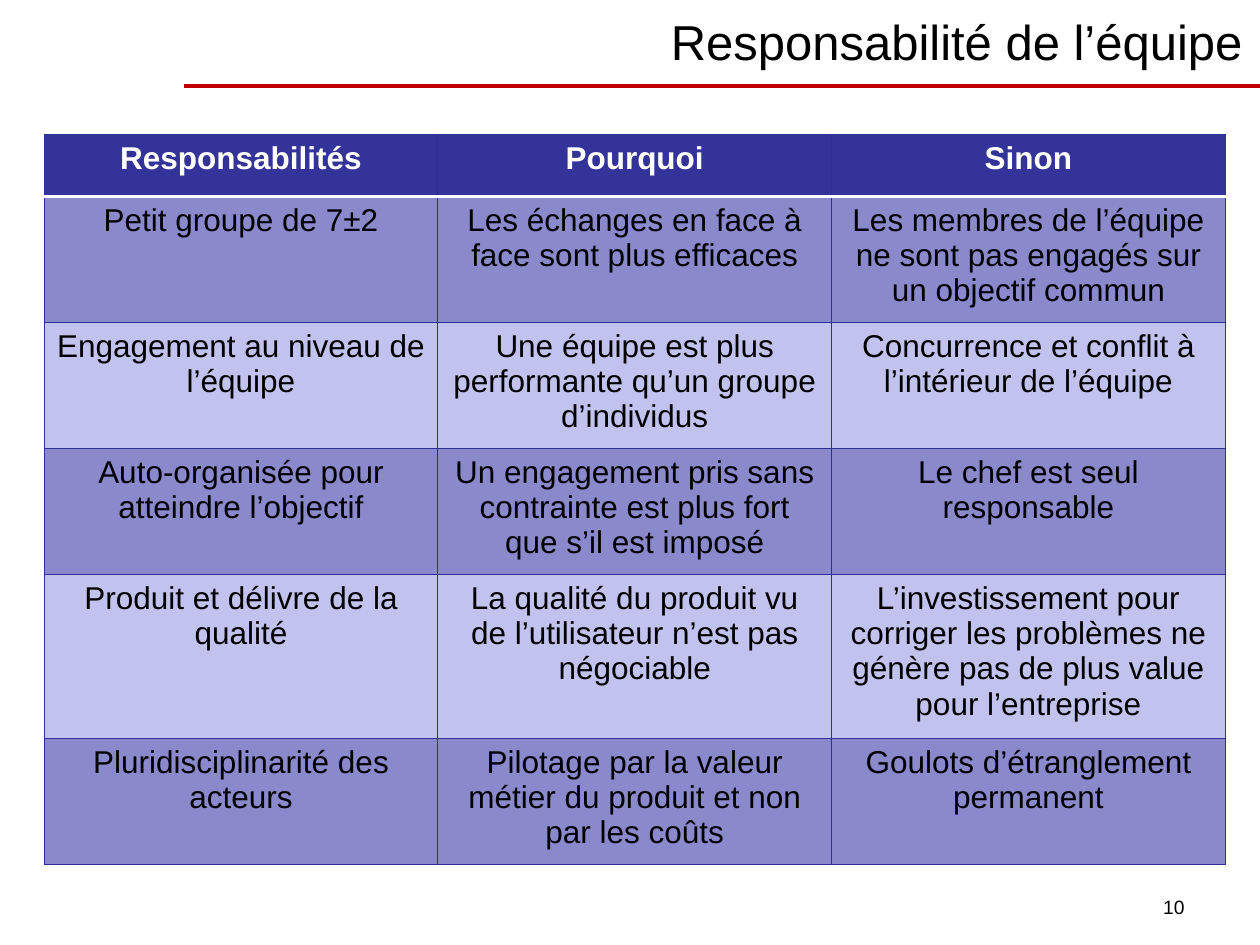
from dataclasses import dataclass
from typing import Any

from lxml import etree
from pptx import Presentation
from pptx import util as u
from pptx.dml.color import RGBColor
from pptx.enum import shapes, text
from pptx.oxml import ns

ROWS = [
    ("Responsabilités", "Pourquoi", "Sinon"),
    ("Petit groupe de 7±2",
     "Les échanges en face à face sont plus efficaces",
     "Les membres de l’équipe ne sont pas engagés sur un objectif commun"),
    ("Engagement au niveau de l’équipe",
     "Une équipe est plus performante qu’un groupe d’individus",
     "Concurrence et conflit à l’intérieur de l’équipe"),
    ("Auto-organisée pour atteindre l’objectif",
     "Un engagement pris sans contrainte est plus fort que s’il est imposé",
     "Le chef est seul responsable"),
    ("Produit et délivre de la qualité",
     "La qualité du produit vu de l’utilisateur n’est pas négociable",
     "L’investissement pour corriger les problèmes ne génère pas de plus "
     "value pour l’entreprise"),
    ("Pluridisciplinarité des acteurs",
     "Pilotage par la valeur métier du produit et non par les coûts",
     "Goulots d’étranglement permanent"),
]
HEIGHTS = [35.2, 67.7, 67.7, 67.7, 87.6, 67.7]


def color(value):
    """Turn a hex string into a colour."""
    return RGBColor.from_string(value)


def assign(target, values):
    """Set each attribute named in a dict."""
    for name, value in values.items():
        setattr(target, name, value)


@dataclass
class Slide:
    """The slide style and the page being filled."""
    page: Any
    font: str = "Arial"
    ink: str = "000000"
    accent: str = "C00000"
    header: str = "333399"
    bands: tuple = ("8989CC", "C2C2EE")
    border: str = "2F2F98"

    def fill_text(self, frame, words, size, align, ink=None, bold=False, **layout):
        """Put one formatted paragraph in a text frame."""
        assign(frame, {"word_wrap": True, **layout})
        para = frame.paragraphs[0]
        para.alignment = align
        span = para.add_run()
        span.text = words
        assign(span.font, {"name": self.font, "size": u.Pt(size), "bold": bold})
        span.font.color.rgb = color(ink or self.ink)

    def title(self, words, left, top, width, height):
        """Place and fill the title placeholder."""
        box = self.page.shapes.title
        assign(box, {"left": u.Pt(left), "top": u.Pt(top),
                     "width": u.Pt(width), "height": u.Pt(height)})
        self.fill_text(box.text_frame, words, 28, text.PP_ALIGN.RIGHT,
                       auto_size=text.MSO_AUTO_SIZE.NONE,
                       vertical_anchor=text.MSO_ANCHOR.MIDDLE)

    def label(self, words, left, top, width, height):
        """Add a small right-aligned text box."""
        box = self.page.shapes.add_textbox(*map(u.Pt, (left, top, width, height)))
        self.fill_text(box.text_frame, words, 11, text.PP_ALIGN.RIGHT)

    def rule(self, left, right, y):
        """Add a horizontal accent line."""
        line = self.page.shapes.add_connector(
            shapes.MSO_CONNECTOR.STRAIGHT, *map(u.Pt, (left, y, right, y)))
        line.line.color.rgb = color(self.accent)
        line.line.width = u.Pt(2.25)
        etree.SubElement(line._element.spPr, ns.qn("a:effectLst"))

    def edges(self, cell, sides):
        """Draw cell borders from (side, colour, width) entries."""
        properties = cell._tc.get_or_add_tcPr()
        for index, (side, value, width) in enumerate(sides):
            line = etree.Element(ns.qn(f"a:ln{side}"), w=str(u.Pt(width)))
            fill = etree.SubElement(line, ns.qn("a:solidFill"))
            etree.SubElement(fill, ns.qn("a:srgbClr"), val=value)
            properties.insert(index, line)

    def table(self, rows, heights, left, top, width):
        """Add a table with a header row and alternating bands."""
        count = len(rows[0])
        table = self.page.shapes.add_table(
            len(rows), count, *map(u.Pt, (left, top, width, sum(heights)))).table
        for column in table.columns:
            column.width = u.Pt(width / count)
        thin = (self.border, 0.75)
        thick = ("FFFFFF", 2)
        for r, (words, height) in enumerate(zip(rows, heights)):
            table.rows[r].height = u.Pt(height)
            sides = [("L", *thin), ("R", *thin),
                     ("T", *(thick if r == 1 else thin)),
                     ("B", *(thick if r == 0 else thin))]
            for c, word in enumerate(words):
                cell = table.cell(r, c)
                cell.fill.solid()
                cell.fill.fore_color.rgb = color(
                    self.bands[(r - 1) % 2] if r else self.header)
                self.fill_text(cell.text_frame, word, 18, text.PP_ALIGN.CENTER,
                               None if r else "FFFFFF", r == 0)
                self.edges(cell, sides)


def main():
    """Build and save the deck."""
    deck = Presentation()
    assign(deck, {"slide_width": u.Pt(720), "slide_height": u.Pt(540)})
    slide = Slide(deck.slides.add_slide(deck.slide_layouts[5]))
    slide.rule(105, 720, 49)
    slide.title("Responsabilité de l’équipe", 167, -2, 550, 51)
    slide.label("10", 516, 508.3, 168, 21)
    slide.table(ROWS, HEIGHTS, 25.2, 77, 675)
    deck.save("out.pptx")


main()
